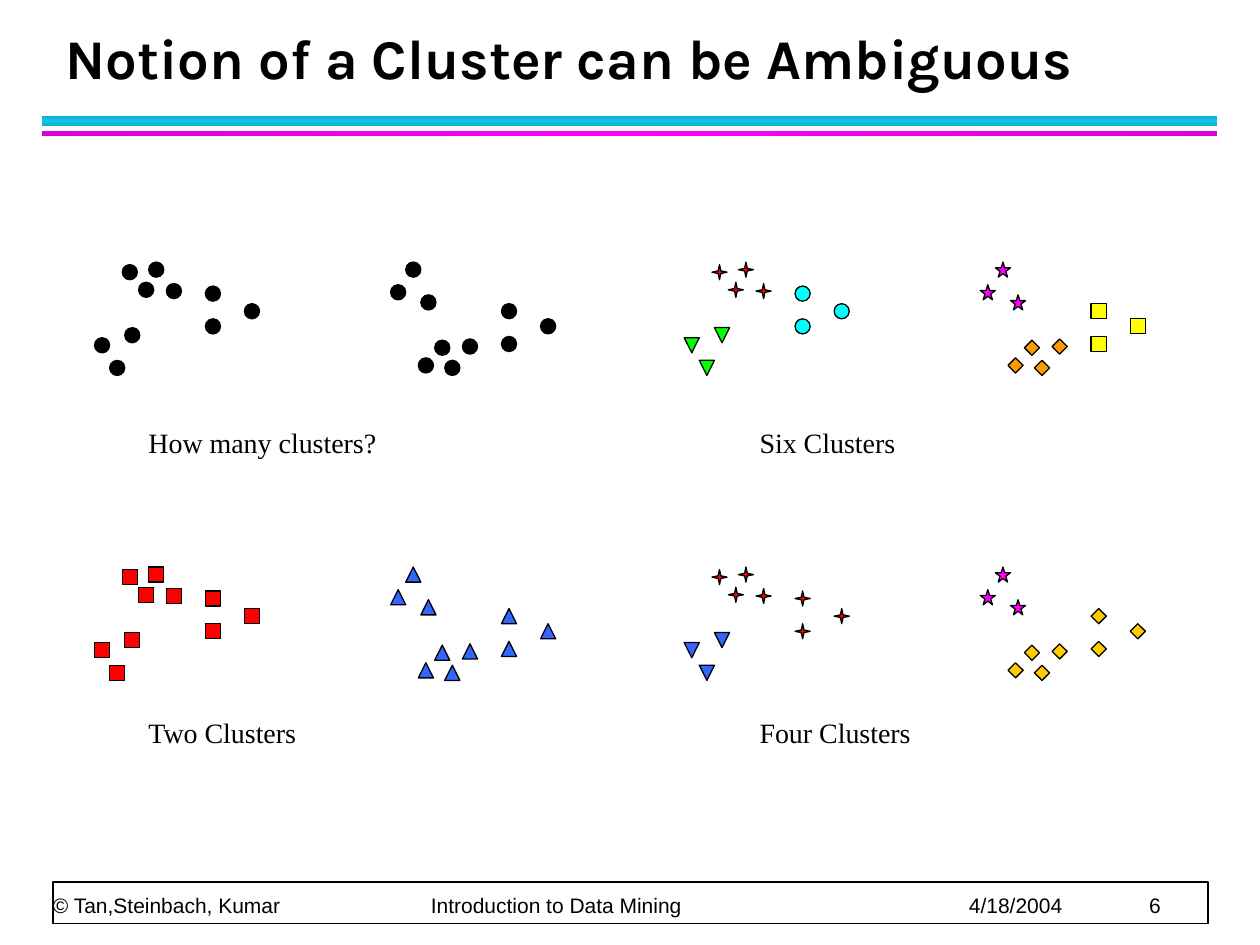
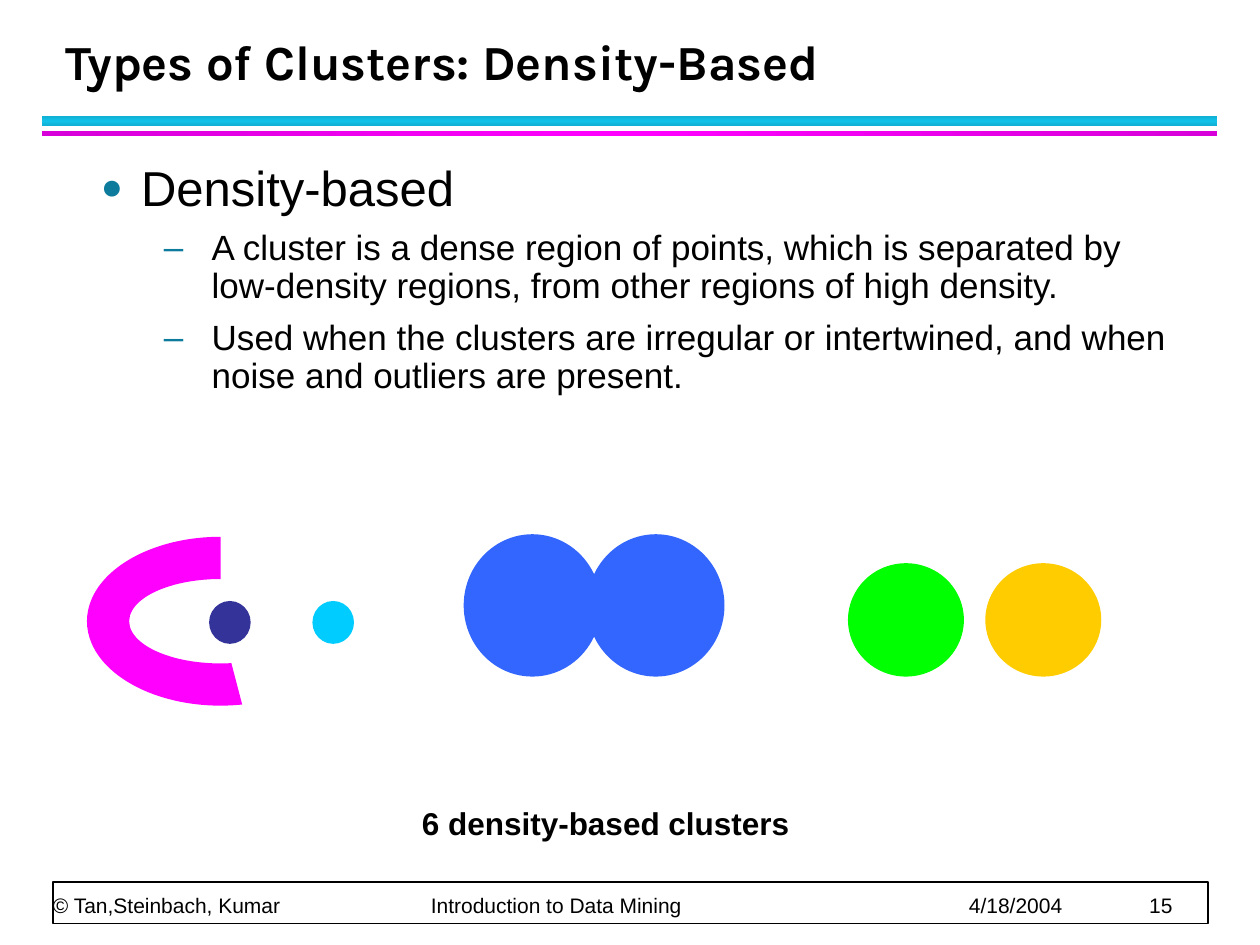
from lxml import etree
from pptx import Presentation
from pptx.dml.color import RGBColor
from pptx.enum.shapes import MSO_SHAPE
from pptx.enum.text import MSO_ANCHOR, MSO_AUTO_SIZE, PP_ALIGN
from pptx.oxml.ns import qn
from pptx.util import Inches, Pt

RECT = MSO_SHAPE.RECTANGLE
OVAL = MSO_SHAPE.OVAL
TRIANGLE = MSO_SHAPE.ISOSCELES_TRIANGLE
EXTRACT = MSO_SHAPE.FLOWCHART_EXTRACT
DIAMOND = MSO_SHAPE.DIAMOND
STAR4 = MSO_SHAPE.STAR_4_POINT
STAR5 = MSO_SHAPE.STAR_5_POINT
BLOCK_ARC = MSO_SHAPE.BLOCK_ARC
TOP, BOTTOM = MSO_ANCHOR.TOP, MSO_ANCHOR.BOTTOM
LEFT = PP_ALIGN.LEFT
NO_FIT = MSO_AUTO_SIZE.NONE

TITLE_ONLY, TITLE_AND_BODY = 5, 1
SANS, SERIF, TITLE_FONT = "Arial", "Times New Roman", "Karla"
BLACK, WHITE, RED, BLUE = "000000", "FFFFFF", "FF0000", "3366FF"
MAGENTA, GREEN, GOLD, TEAL = "FF00FF", "00FF00", "FFCC00", "0C7B9C"

MARK = 0.12
CLOUD_HEIGHT = 0.78
CLOUD_GAP = 2.35
PANEL_LEFTS = (0.75, 5.43)
PANEL_TOPS = (2.08, 4.5)
CAPTION_LEFTS = (1.08, 5.93)
CAPTION_TOPS = (3.33, 5.63)
QUARTET = [(0.57, 0.61), (0.22, 0.76), (0.43, 0.78), (0.35, 0.62)]
TRIO = [(0.24, 0.26), (0, 0.18), (0.12, 0)]
FAR_TRIO = [(0.88, 0.59), (1.19, 0.45), (0.88, 0.33)]


def rgb(color):
    return RGBColor.from_string(color)


def add_xml(parent, tag, **attributes):
    child = etree.SubElement(parent, qn(tag))
    for name, value in attributes.items():
        child.set(name, str(value))
    return child


def add_run(p, text, size, font=SANS, bold=False):
    r = p.add_run()
    r.text = text
    r.font.size = Pt(size)
    r.font.name = font
    r.font.bold = bold
    r.font.color.rgb = rgb(BLACK)


def place(sp, left, top, width, height):
    sp.left, sp.top = Inches(left), Inches(top)
    sp.width, sp.height = Inches(width), Inches(height)


def add_shape(slide, kind, left, top, width, height, fill, line=None):
    sp = slide.shapes.add_shape(kind, Inches(left), Inches(top),
                                Inches(width), Inches(height))
    sp.shadow.inherit = False
    sp.fill.solid()
    sp.fill.fore_color.rgb = rgb(fill)
    if line:
        sp.line.color.rgb = rgb(BLACK)
        sp.line.width = Pt(line)
    else:
        sp.line.fill.background()
    return sp


def add_text(slide, left, top, width, height):
    sp = slide.shapes.add_textbox(Inches(left), Inches(top),
                                  Inches(width), Inches(height))
    sp.text_frame.word_wrap = True
    return sp.text_frame


def add_caption(slide, text, left, top, width, height, size, font, bold=False):
    tf = add_text(slide, left, top, width, height)
    add_run(tf.paragraphs[0], text, size, font, bold)


def add_band(slide, top, height, edge, middle, angle):
    sp = add_shape(slide, RECT, 0.33, top, 9.33, height, edge)
    solid = sp._element.spPr.find(qn("a:solidFill"))
    grad = etree.Element(qn("a:gradFill"))
    stops = add_xml(grad, "a:gsLst")
    for percent, color in ((0, edge), (50, middle), (100, edge)):
        stop = add_xml(stops, "a:gs", pos=percent * 1000)
        add_xml(stop, "a:srgbClr", val=color)
    add_xml(grad, "a:lin", ang=angle * 60000, scaled=0)
    solid.getparent().replace(solid, grad)


def add_footer(slide, number):
    add_shape(slide, RECT, 0.42, 7, 9.17, 0.33, WHITE, 1)
    tf = add_text(slide, 0.42, 7, 9.15, 0.28)
    tf.margin_left = tf.margin_top = tf.margin_right = tf.margin_bottom = 0
    tf.vertical_anchor = BOTTOM
    p = tf.paragraphs[0]
    p.line_spacing = Pt(20)
    tabs = add_xml(p._p.get_or_add_pPr(), "a:tabLst")
    for position in (3, 7.27, 8.7):
        add_xml(tabs, "a:tab", pos=Inches(position), algn="l")
    add_run(p, "© Tan,Steinbach, Kumar\tIntroduction to Data Mining"
               f"\t4/18/2004\t{number}", 12)


def add_slide(prs, layout, title, size, number):
    slide = prs.slides.add_slide(prs.slide_layouts[layout])
    add_band(slide, 0.92, 0.08, "10AFD2", "12C2E9", 90)
    add_band(slide, 1.04, 0.04, "D800D8", MAGENTA, 180)
    add_footer(slide, number)
    sp = slide.shapes.title
    place(sp, 0.42, 0.17, 9.06, 0.6)
    tf = sp.text_frame
    tf.auto_size = NO_FIT
    tf.vertical_anchor = BOTTOM
    p = tf.paragraphs[0]
    p.alignment = LEFT
    p.line_spacing = Pt(36)
    add_run(p, title, size, TITLE_FONT, True)
    return slide


def set_bullet(p, char, indent, hanging, percent):
    pPr = p._p.get_or_add_pPr()
    pPr.set("marL", str(Inches(indent)))
    pPr.set("indent", str(Inches(-hanging)))
    add_xml(add_xml(pPr, "a:buClr"), "a:srgbClr", val=TEAL)
    add_xml(pPr, "a:buSzPct", val=percent * 1000)
    add_xml(pPr, "a:buFont", typeface=SANS)
    add_xml(pPr, "a:buChar", char=char)


def add_body(slide, heading, points):
    sp = slide.placeholders[1]
    place(sp, 0.7, 1.25, 8.75, 5.59)
    tf = sp.text_frame
    tf.auto_size = NO_FIT
    tf.vertical_anchor = TOP
    for i, text in enumerate([heading] + points):
        p = tf.add_paragraph() if i else tf.paragraphs[0]
        p.level = 1 if i else 0
        p.line_spacing = 0.9
        p.space_before = Pt(8 if i else 0)
        if i:
            set_bullet(p, "–", 0.88, 0.38, 100)
        else:
            set_bullet(p, "●", 0.32, 0.32, 75)
        add_run(p, text, 20 if i else 28)


def add_cloud(slide, left, top, styles, mirrored):
    for points, (kind, fill) in zip((QUARTET, TRIO, FAR_TRIO), styles):
        for x, y in points:
            y = CLOUD_HEIGHT - y if mirrored else y
            sp = add_shape(slide, kind, left + x, top + y, MARK, MARK, fill, 0.75)
            sp.rotation = 180 if mirrored else 0


def add_panel(slide, column, row, caption, left_styles, right_styles):
    left, top = PANEL_LEFTS[column], PANEL_TOPS[row]
    add_cloud(slide, left, top, left_styles, True)
    add_cloud(slide, left + CLOUD_GAP, top, right_styles, False)
    add_caption(slide, caption, CAPTION_LEFTS[column], CAPTION_TOPS[row],
                2.5, 0.37, 16, SERIF)


def build_ambiguous(prs):
    slide = add_slide(prs, TITLE_ONLY, "Notion of a Cluster can be Ambiguous", 32, 6)
    dots = [(OVAL, BLACK)] * 3
    red_star, pink_star = (STAR4, RED), (STAR5, MAGENTA)
    gold_diamond = (DIAMOND, GOLD)
    add_panel(slide, 0, 0, "How many clusters?", dots, dots)
    add_panel(slide, 1, 0, "Six Clusters",
              [red_star, (TRIANGLE, GREEN), (OVAL, "00FFFF")],
              [(DIAMOND, "FF9900"), pink_star, (RECT, "FFFF00")])
    add_panel(slide, 0, 1, "Two Clusters", [(RECT, RED)] * 3, [(TRIANGLE, BLUE)] * 3)
    add_panel(slide, 1, 1, "Four Clusters",
              [red_star, (EXTRACT, BLUE), red_star],
              [gold_diamond, pink_star, gold_diamond])


def build_density(prs):
    slide = add_slide(prs, TITLE_AND_BODY, "Types of Clusters: Density-Based", 28, 15)
    add_body(slide, "Density-based", [
        "A cluster is a dense region of points, which is separated by "
        "low-density regions, from other regions of high density.",
        "Used when the clusters are irregular or intertwined, and when "
        "noise and outliers are present.",
    ])
    add_shape(slide, RECT, 0.33, 4, 9.42, 1.83, WHITE)
    arc = add_shape(slide, BLOCK_ARC, 1.08, 3.87, 1.34, 2.12, MAGENTA)
    arc.rotation = 270
    for i, value in enumerate((99.25, 0.06, 0.25)):
        arc.adjustments[i] = value
    circle_pairs = [
        ((1.66, 2.48), 4.77, 0.33, 0.34, ("333399", "00CCFF")),
        ((6.73, 7.82), 4.47, 0.92, 0.9, (GREEN, GOLD)),
        ((3.68, 4.66), 4.24, 1.09, 1.13, (BLUE, BLUE)),
    ]
    for lefts, top, width, height, fills in circle_pairs:
        for left, fill in zip(lefts, fills):
            add_shape(slide, OVAL, left, top, width, height, fill)
    add_caption(slide, "6 density-based clusters", 3.25, 6.33, 3.5, 0.4, 18, SANS, True)


def main():
    prs = Presentation()
    prs.slide_width, prs.slide_height = Inches(10), Inches(7.5)
    build_ambiguous(prs)
    build_density(prs)
    prs.save("out.pptx")


if __name__ == "__main__":
    main()
